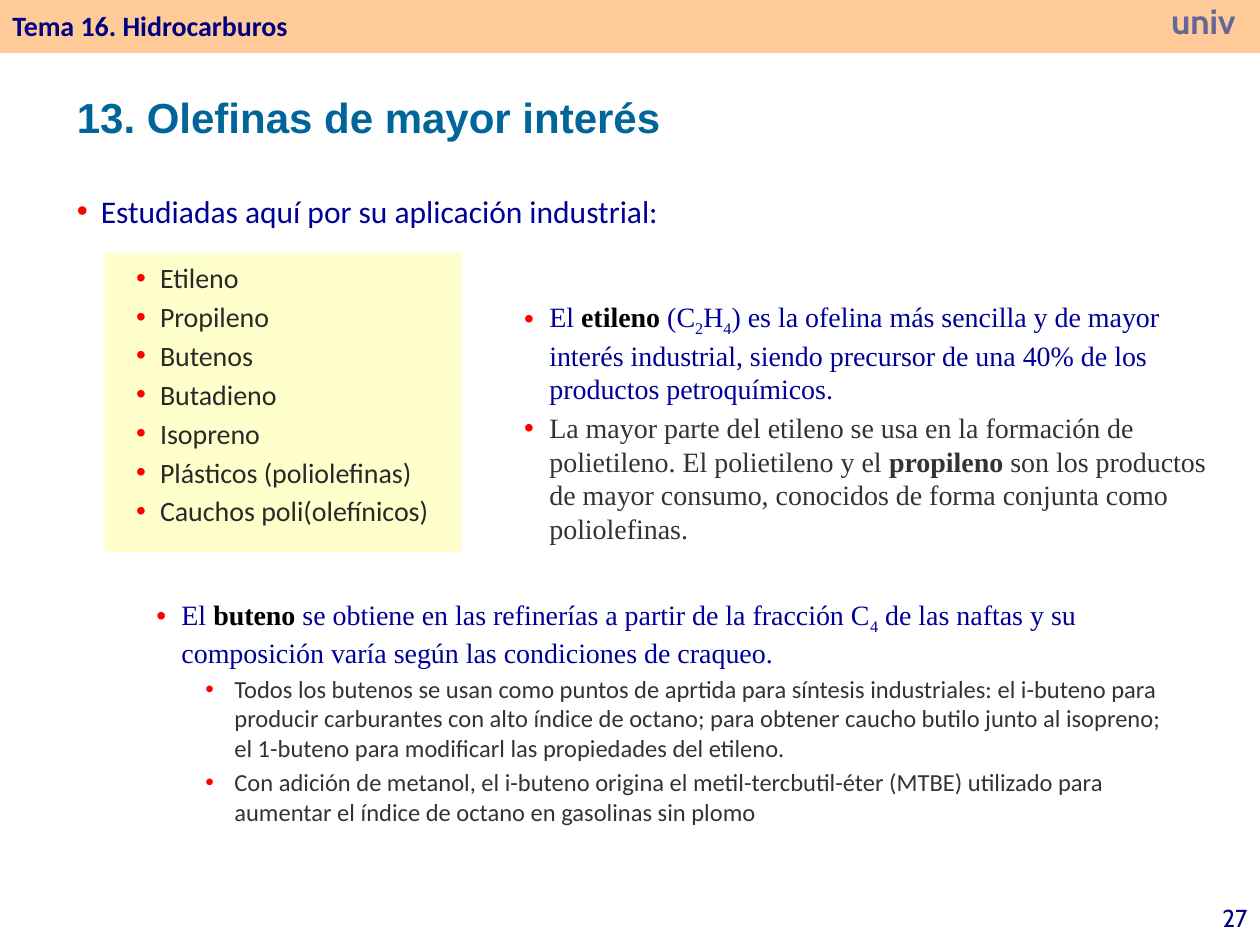
from lxml import etree
from pptx import Presentation
from pptx.dml.color import RGBColor
from pptx.enum import shapes, text
from pptx.oxml import ns
from pptx.util import Inches, Pt

NAVY, BLUE, GREY, RED = "000080", "000099", "333333", "FF0000"


def place(shape, left, top, width, height, anchor=text.MSO_ANCHOR.TOP):
    """Position a text shape, fix its frame settings and return the frame."""
    shape.left, shape.top = Inches(left), Inches(top)
    shape.width, shape.height = Inches(width), Inches(height)
    frame = shape.text_frame
    frame.word_wrap = True
    frame.auto_size = text.MSO_AUTO_SIZE.NONE
    frame.vertical_anchor = anchor
    return frame


def write(frame, *runs, size, font, color, bold=False, align=text.PP_ALIGN.LEFT,
          key_color="000000", level=0, indent=0, hang=0, before=0):
    """Add a paragraph; a run is a string or (string, "key" | "sub").

    A hanging indent also brings a red bullet.
    """
    paragraph = frame.paragraphs[0]
    if paragraph.runs:
        paragraph = frame.add_paragraph()
    paragraph.alignment = align
    paragraph.level = level
    paragraph.space_before = Pt(before)
    if hang:
        props = paragraph._p.get_or_add_pPr()
        props.set("marL", str(Inches(indent)))
        props.set("indent", str(-Inches(hang)))
        bullet_color = etree.SubElement(props, ns.qn("a:buClr"))
        etree.SubElement(bullet_color, ns.qn("a:srgbClr"), val=RED)
        etree.SubElement(props, ns.qn("a:buFont"), typeface="Arial")
        etree.SubElement(props, ns.qn("a:buChar"), char="•")
    for item in runs:
        words, role = (item, "") if isinstance(item, str) else item
        run = paragraph.add_run()
        run.text = words
        run.font.size = Pt(size)
        run.font.name = font
        run.font.bold = bold or role == "key"
        run.font.color.rgb = RGBColor.from_string(key_color if role == "key" else color)
        if role == "sub":
            run.font._element.set("baseline", "-25000")
    return paragraph


prs = Presentation()
prs.slide_width, prs.slide_height = Inches(10), Inches(7.5)
slide = prs.slides.add_slide(prs.slide_layouts.get_by_name("Comparison"))
title, intro, olefins, ethylene, butene = slide.placeholders

# Header band and the panel behind the olefin list, kept behind all text
for depth, (area, color, alpha) in enumerate([
    ((0, 0, 10, 0.42), "FFCC99", 100),
    ((0.83, 2.01, 2.83, 2.37), "FFFF99", 50),
]):
    panel = slide.shapes.add_shape(shapes.MSO_SHAPE.RECTANGLE, *map(Inches, area))
    panel.shadow.inherit = False
    panel.line.fill.background()
    panel.fill.solid()
    panel.fill.fore_color.rgb = RGBColor.from_string(color)
    if alpha < 100:
        fill_color = panel._element.spPr.find(".//" + ns.qn("a:srgbClr"))
        etree.SubElement(fill_color, ns.qn("a:alpha"), val=str(alpha * 1000))
    slide.shapes._spTree.insert(2 + depth, panel._element)

# Header and page number
topic, institution, page = (slide.shapes.add_textbox(0, 0, 0, 0) for _ in range(3))
write(place(topic, 0, 0, 7.25, 0.4, text.MSO_ANCHOR.MIDDLE),
      "Tema 16. Hidrocarburos", size=16, font="Calibri", color=NAVY, bold=True)
badge = place(institution, 9.1, 0, 0.9, 0.33)
badge.margin_left = badge.margin_right = badge.margin_top = badge.margin_bottom = 0
write(badge, "univ", size=20, font="Cabin", color="666699", bold=True,
      align=text.PP_ALIGN.CENTER)
write(place(page, 9.33, 7.06, 0.67, 0.44, text.MSO_ANCHOR.MIDDLE),
      "27", size=14, font="Cabin", color=NAVY, align=text.PP_ALIGN.RIGHT)

# Title and lists
write(place(title, 0.51, 0.68, 7.59, 0.5), "13. Olefinas de mayor interés",
      size=24, font="Arial", color="006699", bold=True)
write(place(intro, 0.51, 1.47, 6.53, 0.4),
      "Estudiadas aquí por su aplicación industrial:",
      size=18, font="Calibri", color=BLUE, indent=0.19, hang=0.19, before=6)

olefin_list = place(olefins, 0.98, 2.02, 2.68, 2.22)
for olefin in ("Etileno", "Propileno", "Butenos", "Butadieno", "Isopreno",
               "Plásticos (poliolefinas)", "Cauchos poli(olefínicos)"):
    write(olefin_list, olefin, size=16, font="Calibri", color="292929",
          indent=0.19, hang=0.19, before=3)

serif = dict(size=16, font="Times New Roman", indent=0.2, hang=0.2, before=3.2)
ethylene_list = place(ethylene, 4.06, 2.33, 5.83, 2.03)
write(ethylene_list, "El ", ("etileno", "key"), " (C", ("2", "sub"), "H", ("4", "sub"),
      ") es la ofelina más sencilla y de mayor interés industrial, siendo precursor "
      "de una 40% de los productos petroquímicos.", color=BLUE, **serif)
write(ethylene_list,
      "La mayor parte del etileno se usa en la formación de polietileno. "
      "El polietileno y el ", ("propileno", "key"),
      " son los productos de mayor consumo, conocidos de forma conjunta como "
      "poliolefinas.", color=GREY, key_color=GREY, **serif)

butene_list = place(butene, 1.14, 4.69, 8.35, 1.89)
write(butene_list, "El ", ("buteno", "key"),
      " se obtiene en las refinerías a partir de la fracción C", ("4", "sub"),
      " de las naftas y su composición varía según las condiciones de craqueo.",
      color=BLUE, **serif)
for use in (
    "Todos los butenos se usan como puntos de aprtida para síntesis industriales: "
    "el i-buteno para producir carburantes con alto índice de octano; para obtener "
    "caucho butilo junto al isopreno; el 1-buteno para modificarl las propiedades "
    "del etileno.",
    "Con adición de metanol, el i-buteno origina el metil-tercbutil-éter (MTBE) "
    "utilizado para aumentar el índice de octano en gasolinas sin plomo",
):
    write(butene_list, use, size=14, font="Calibri", color=GREY, level=1,
          indent=0.62, hang=0.23, before=2.8)

prs.save("out.pptx")
